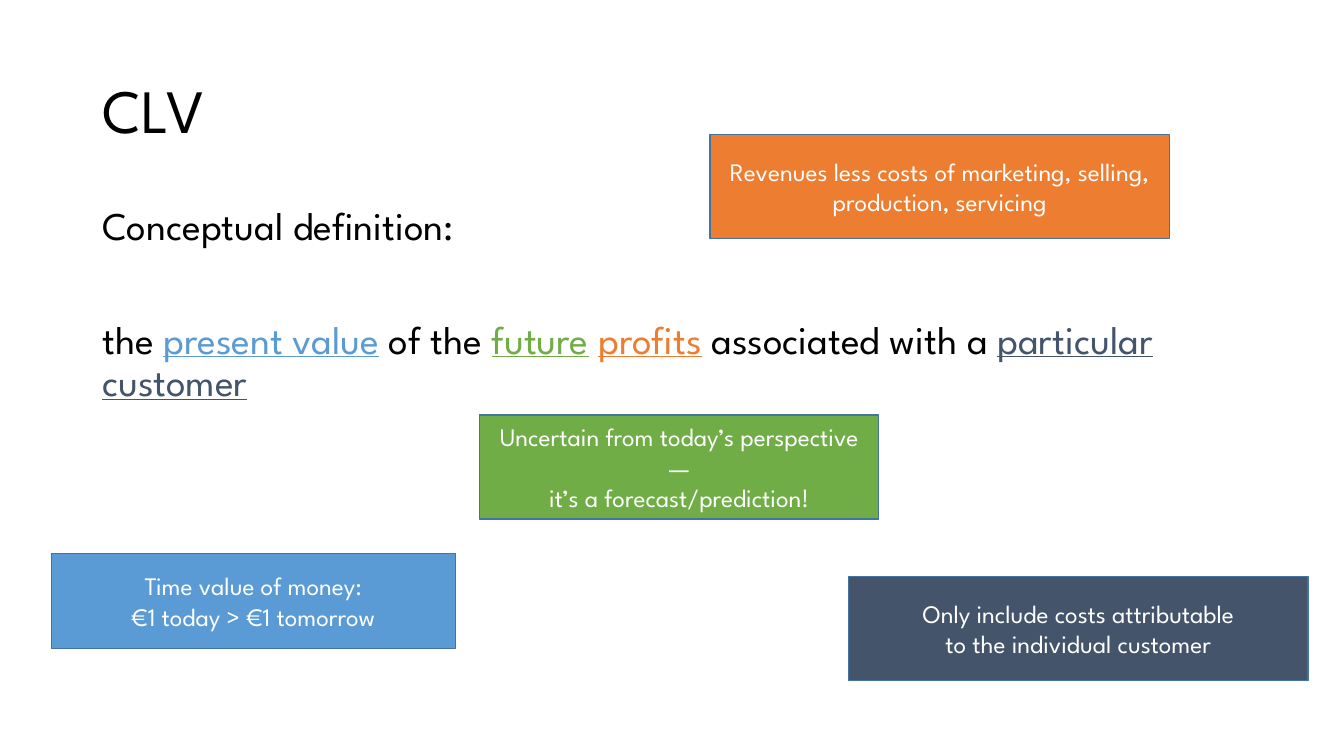
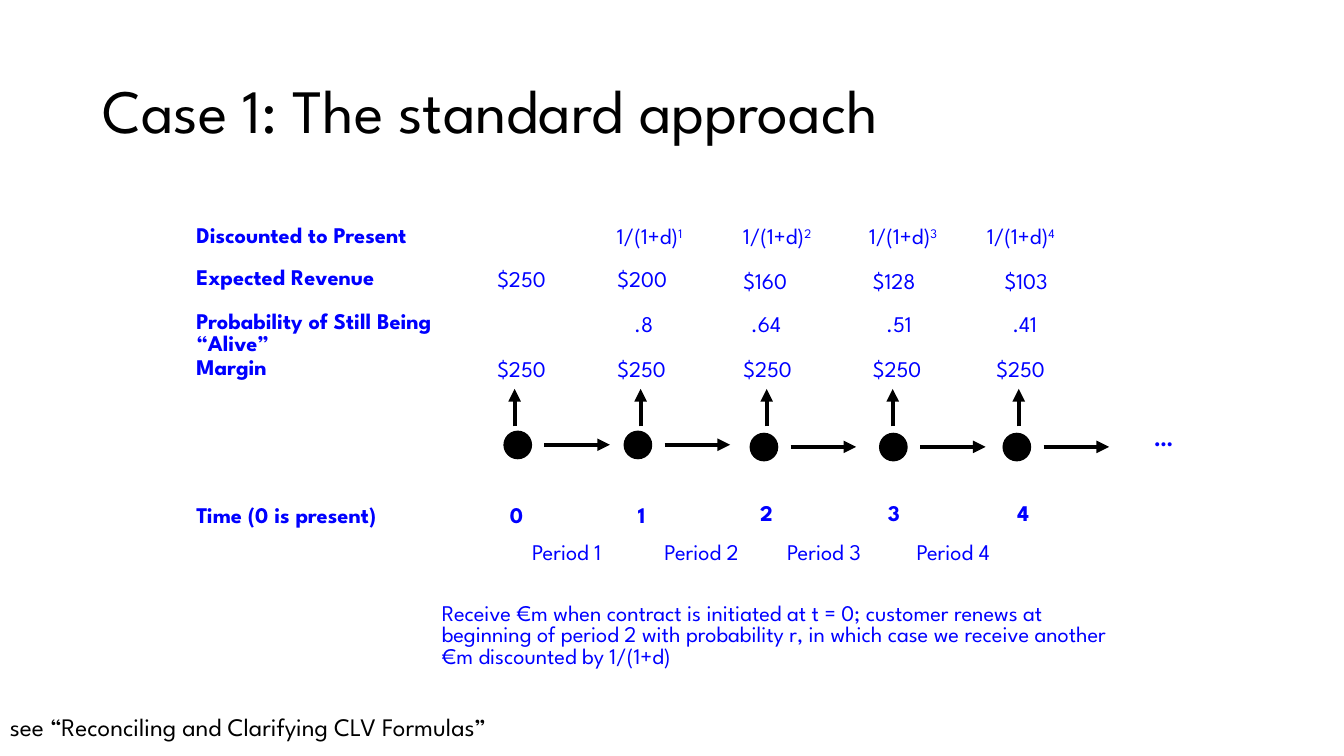
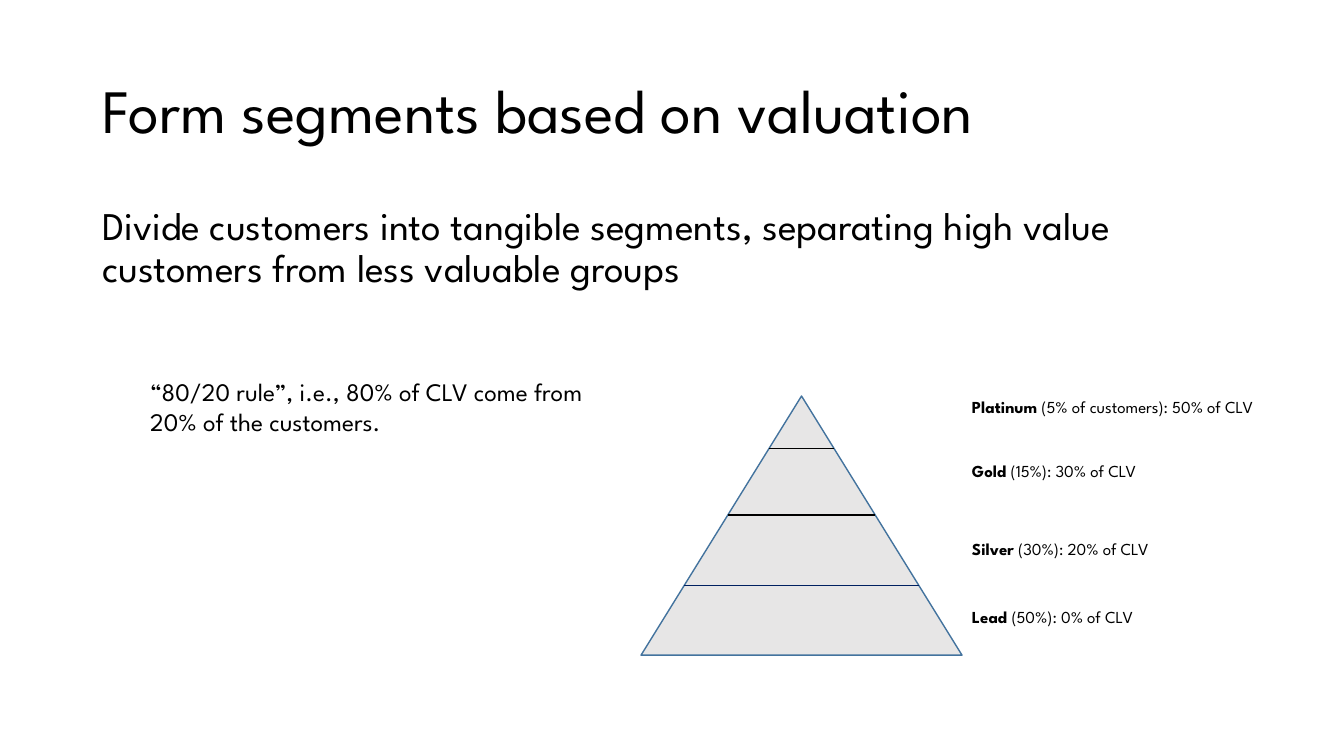
import dataclasses

import lxml.etree
import pptx
import pptx.dml.color
import pptx.enum.shapes
import pptx.enum.text
import pptx.oxml.ns
import pptx.util

SHAPE = pptx.enum.shapes.MSO_SHAPE
ALIGN = pptx.enum.text.PP_ALIGN
ANCHOR = pptx.enum.text.MSO_ANCHOR


@dataclasses.dataclass(frozen=True)
class Theme:
    font: str = "League Spartan"
    # Colours
    black: str = "000000"
    white: str = "FFFFFF"
    diagram: str = "0000FF"
    outline: str = "43739E"
    pale: str = "E7E6E6"
    navy: str = "002060"
    present: str = "5B9BD5"
    future: str = "70AD47"
    profits: str = "ED7D31"
    customer: str = "44546A"
    # Type sizes
    title: int = 44
    body: int = 28
    note: int = 18
    figure: int = 16
    caption: int = 12


@dataclasses.dataclass(frozen=True)
class Run:
    text: str
    color: str = ""
    bold: bool = False
    underline: bool = False
    superscript: bool = False


THEME = Theme()

# The slide is a grid of square cells, twelve to the inch
ROWS = 90
SLIDE_WIDTH, SLIDE_HEIGHT = pptx.util.Inches(13.33), pptx.util.Inches(7.5)
CELL = SLIDE_HEIGHT / ROWS


def cells(*counts):
    return [pptx.util.Emu(round(count * CELL)) for count in counts]


def rgb(color):
    return pptx.dml.color.RGBColor.from_string(color)


# Text

def write(frame, paragraphs, size, color=THEME.black, align=None, spacing=None, before=()):
    """Fill a text frame; each paragraph is a list of runs."""
    for index, runs in enumerate(paragraphs):
        paragraph = frame.paragraphs[0] if index == 0 else frame.add_paragraph()
        paragraph.alignment = align
        paragraph.line_spacing = spacing
        if before:
            paragraph.space_before = pptx.util.Pt(before[index])
        for part in runs:
            run = paragraph.add_run()
            run.text = part.text
            run.font.name = THEME.font
            run.font.size = pptx.util.Pt(size)
            run.font.color.rgb = rgb(part.color or color)
            run.font.bold = part.bold
            run.font.underline = part.underline
            if part.superscript:
                run._r.get_or_add_rPr().set("baseline", "30000")


def add_text(slide, area, paragraphs, size, wrap=True, anchor=ANCHOR.TOP, **style):
    frame = slide.shapes.add_textbox(*cells(*area)).text_frame
    frame.word_wrap = wrap
    frame.vertical_anchor = anchor
    if not wrap:
        frame.auto_size = pptx.enum.text.MSO_AUTO_SIZE.SHAPE_TO_FIT_TEXT
    write(frame, paragraphs, size, **style)


def add_title(slide, text):
    add_text(slide, (11, 4.8, 138, 17.4), [[Run(text)]], THEME.title,
             anchor=ANCHOR.MIDDLE, spacing=0.9)


def add_body(slide, paragraphs, before):
    add_text(slide, (11, 24, 138, 57.1), paragraphs, THEME.body, spacing=0.9, before=before)


def add_value(slide, left, top, width, *runs):
    add_text(slide, (left, top, width, 4.4), [runs], THEME.figure,
             wrap=False, color=THEME.diagram)


def add_label(slide, left, top, width, text, bold=True, height=4):
    add_text(slide, (left, top, width, height), [[Run(text, bold=bold)]], THEME.figure,
             color=THEME.diagram, spacing=0.8, before=[3.2])


# Shapes and lines

def add_figure(slide, kind, area, fill, outline):
    shape = slide.shapes.add_shape(kind, *cells(*area))
    shape.shadow.inherit = False
    shape.fill.solid()
    shape.fill.fore_color.rgb = rgb(fill)
    shape.line.color.rgb = rgb(outline)
    shape.line.width = pptx.util.Pt(1)
    return shape


def add_callout(slide, area, fill, *lines):
    frame = add_figure(slide, SHAPE.RECTANGLE, area, fill, THEME.outline).text_frame
    frame.word_wrap = True
    frame.vertical_anchor = ANCHOR.MIDDLE
    write(frame, [[Run(line)] for line in lines], THEME.note, THEME.white, ALIGN.CENTER)


def add_line(slide, start, end, color=THEME.black, width=1, arrow=False):
    line = slide.shapes.add_connector(
        pptx.enum.shapes.MSO_CONNECTOR.STRAIGHT, *cells(*start, *end))
    line.line.color.rgb = rgb(color)
    line.line.width = pptx.util.Pt(width)
    properties = line._element.spPr
    if arrow:
        outline = properties.find(pptx.oxml.ns.qn("a:ln"))
        lxml.etree.SubElement(outline, pptx.oxml.ns.qn("a:tailEnd"), type="triangle")
    lxml.etree.SubElement(properties, pptx.oxml.ns.qn("a:effectLst"))


def add_arrow(slide, start, end):
    add_line(slide, start, end, width=3, arrow=True)


# Slides

def build_definition(slide):
    add_title(slide, "CLV")
    add_body(slide, [
        [Run("Conceptual definition:")],
        [Run("the "), Run("present value", THEME.present, underline=True),
         Run(" of the "), Run("future", THEME.future, underline=True),
         Run(" "), Run("profits", THEME.profits, underline=True),
         Run(" associated with a "),
         Run("particular customer", THEME.customer, underline=True)],
    ], before=[10, 51])
    add_callout(slide, (6.1, 65.9, 48.1, 11.3), THEME.present,
                "Time value of money:", "€1 today > €1 tomorrow")
    add_callout(slide, (57.1, 49.4, 47.5, 12.4), THEME.future,
                "Uncertain from today’s perspective—", "it’s a forecast/prediction!")
    add_callout(slide, (84.5, 16, 54.7, 12.4), THEME.profits,
                "Revenues less costs of marketing, selling, production, servicing")
    add_callout(slide, (101, 68.6, 54.7, 12.4), THEME.customer,
                "Only include costs attributable", "to the individual customer")


def build_timeline(slide):
    add_title(slide, "Case 1: The standard approach")

    # Row labels
    for text, top, width in [
            ("Discounted to Present", 26.4, 36.7), ("Expected Revenue", 31.3, 36.7),
            ("Probability of Still Being “Alive”", 36.6, 37.7),
            ("Margin", 42.1, 32.8), ("Time (0 is present)", 59.65, 32.8)]:
        add_label(slide, 22.2, top, width, text)

    # Payments along the time axis; later ones sit a little off the line
    payment_lefts = [58, 72.3, 87.3, 102.7, 117.4]
    revenue_lefts = payment_lefts[:4] + [118.4]
    time_lefts = [59.5, 74.75, 89.3, 104.5, 119.9]
    revenues = ["$250", "$200", "$160", "$128", "$103"]
    for time, left in enumerate(payment_lefts):
        shift = 0.25 if time >= 2 else 0
        dot_top = 51.35 + shift
        add_figure(slide, SHAPE.OVAL, (left + 2, dot_top, 3.25, 3.25),
                   THEME.black, THEME.black)
        add_arrow(slide, (left + 6.8, dot_top + 1.6), (left + 14.6, dot_top + 1.6))
        up = 61.25 + 15 * time
        add_arrow(slide, (up, 50.75), (up, 46.3))
        add_value(slide, left, 41.65, 8.3, Run("$250"))
        add_value(slide, revenue_lefts[time], 30.95 + shift, 8.3, Run(revenues[time]))
        add_label(slide, time_lefts[time], 59.65 - shift, 32.8, str(time))

    # Renewal periods
    renewals = [(72.25, 74.3, ".8", 62.15), (87.25, 88.2, ".64", 77.9),
                (102.25, 104.3, ".51", 92.5), (116.3, 119.3, ".41", 107.9)]
    for period, (factor_left, chance_left, chance, name_left) in enumerate(renewals, 1):
        add_value(slide, factor_left, 25.9, 13.8,
                  Run("1/(1+d)"), Run(str(period), superscript=True))
        add_value(slide, chance_left, 36.35, 2 + 1.4 * len(chance), Run(chance))
        add_label(slide, name_left, 64.1, 13.1, f"Period {period}", bold=False)

    # Continuation and notes
    add_label(slide, 136.2, 50.5, 6.4, "…")
    add_label(slide, 51.4, 71.3, 82.3,
              "Receive €m when contract is initiated at t = 0; customer renews at "
              "beginning of period 2 with probability r, in which case we receive "
              "another €m discounted by 1/(1+d)", bold=False, height=15.6)
    add_text(slide, (0, 84.1, 71.8, 4.8),
             [[Run("see “Reconciling and Clarifying CLV Formulas”")]],
             THEME.note, wrap=False)


def build_segments(slide):
    add_title(slide, "Form segments based on valuation")
    add_body(slide, [[Run("Divide customers into tangible segments, separating high value "
                          "customers from less valuable groups")]], before=[10])
    add_text(slide, (16.7, 44.15, 58.2, 8.5),
             [[Run("“80/20 rule”, i.e., 80% of CLV come from 20% of the customers.")]],
             THEME.note)

    # Pyramid, with dividers that end on its sides
    left, top, width, height = 76.3, 47.15, 38.2, 30.85
    add_figure(slide, SHAPE.ISOSCELES_TRIANGLE, (left, top, width, height),
               THEME.pale, THEME.outline)
    middle = left + width / 2
    for row, color in [(53.4, THEME.black), (61.3, THEME.black), (69.7, THEME.navy)]:
        reach = width / 2 * (row - top) / height
        add_line(slide, (middle - reach, row), (middle + reach, row), color)

    # Segment captions
    for name, share, row, caption_width in [
            ("Platinum", " (5% of customers): 50% of CLV", 46.7, 40.5),
            ("Gold", " (15%): 30% of CLV", 54.25, 25.1),
            ("Silver", " (30%): 20% of CLV", 63.6, 25.3),
            ("Lead", " (50%): 0% of CLV", 71.65, 24.1)]:
        add_text(slide, (left + width, row, caption_width, 3.6),
                 [[Run(name, bold=True), Run(share)]], THEME.caption, wrap=False)


def main():
    presentation = pptx.Presentation()
    presentation.slide_width, presentation.slide_height = SLIDE_WIDTH, SLIDE_HEIGHT
    blank = presentation.slide_layouts[6]
    for build in (build_definition, build_timeline, build_segments):
        build(presentation.slides.add_slide(blank))
    presentation.save("out.pptx")


main()
